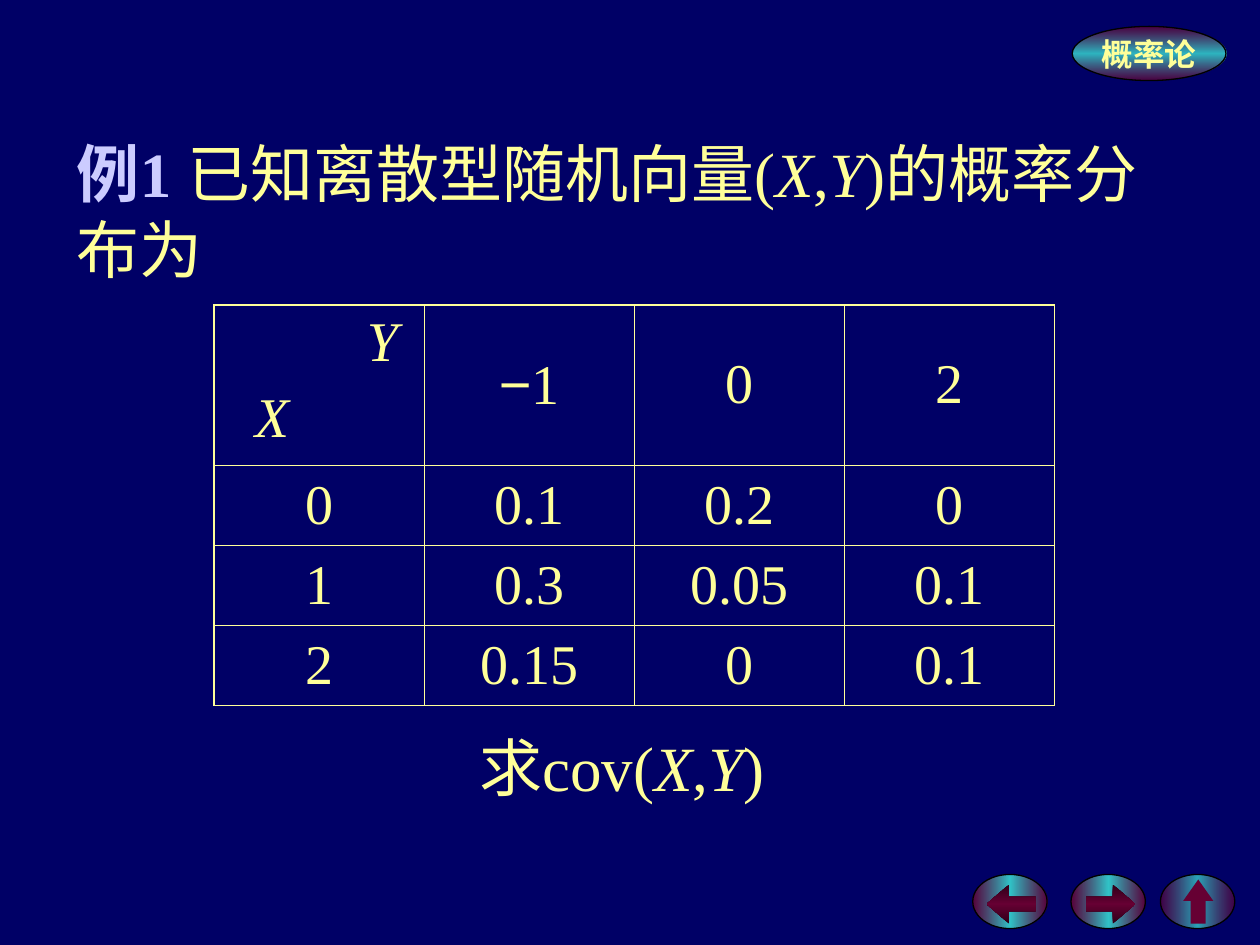
from itertools import groupby

from lxml import etree
from pptx import Presentation, util as u
from pptx.dml.color import RGBColor
from pptx.enum import shapes, text
from pptx.oxml import ns

WIDTH, HEIGHT = 10, 7.5
NAVY, YELLOW, LILAC = "000066", "FFFF99", "CCCCFF"
WINE, DARK_WINE, TEAL, BLACK = "660033", "2F0018", "33CCCC", "000000"
SERIF, SANS = "Times New Roman", "Arial"

DISTRIBUTION = [
    ["", "−1", "0", "2"],
    ["0", "0.1", "0.2", "0"],
    ["1", "0.3", "0.05", "0.1"],
    ["2", "0.15", "0", "0.1"],
]


def rgb(value):
    return RGBColor.from_string(value)


def inches(*lengths):
    return [u.Inches(length) for length in lengths]


def add_element(parent, tag, **attributes):
    element = etree.SubElement(parent, ns.qn(tag))
    for name, value in attributes.items():
        element.set(name, str(value))
    return element


def write_math(paragraph, content, size, color=YELLOW, bold=False):
    """Add runs, with the variables X and Y in italics and the minus in sans."""
    for (variable, minus), characters in groupby(
            content, lambda c: (c in "XY", c == "−")):
        run = paragraph.add_run()
        run.text = "".join(characters)
        font = run.font
        font.name = SANS if minus else SERIF
        font.size = u.Pt(size)
        font.bold, font.italic = bold, variable
        font.color.rgb = rgb(color)


def gradient_fill(shape, edge, middle, angle, edge_alpha=100, middle_alpha=100):
    gradient = add_element(shape._element.spPr, "a:gradFill", rotWithShape=1)
    stops = add_element(gradient, "a:gsLst")
    for position, color, alpha in ((0, edge, edge_alpha),
                                   (50, middle, middle_alpha),
                                   (100, edge, edge_alpha)):
        stop = add_element(stops, "a:gs", pos=position * 1000)
        tint = add_element(stop, "a:srgbClr", val=color)
        add_element(tint, "a:alpha", val=alpha * 1000)
    add_element(gradient, "a:lin", ang=angle * 60000, scaled=0)


def add_ellipse(slide, box, angle, edge_alpha, middle_alpha):
    ellipse = slide.shapes.add_shape(shapes.MSO_SHAPE.OVAL, *inches(*box))
    gradient_fill(ellipse, WINE, TEAL, angle, edge_alpha, middle_alpha)
    ellipse.line.color.rgb = rgb(BLACK)
    ellipse.line.width = u.Pt(0.75)
    ellipse.shadow.inherit = False
    return ellipse


def add_arrow(slide, preset, box, adjustments):
    arrow = slide.shapes.add_shape(preset, *inches(*box))
    for index, value in enumerate(adjustments):
        arrow.adjustments[index] = value
    if preset == shapes.MSO_SHAPE.UP_ARROW:
        arrow.fill.solid()
        arrow.fill.fore_color.rgb = rgb(WINE)
    else:
        gradient_fill(arrow, DARK_WINE, WINE, 90)
    arrow.line.fill.background()
    arrow.shadow.inherit = False


def add_course_badge(slide):
    badge = add_ellipse(slide, (8.51, 0.21, 1.22, 0.43), 90, 73, 89)
    frame = badge.text_frame
    frame.word_wrap = False
    frame.vertical_anchor = text.MSO_ANCHOR.MIDDLE
    frame.paragraphs[0].alignment = text.PP_ALIGN.CENTER
    write_math(frame.paragraphs[0], "概率论", 18, bold=True)


def add_navigation(slide):
    preset, sideways = shapes.MSO_SHAPE, (0.363, 0.574)
    for left, alphas, arrow, box, adjustments in (
            (7.72, (86, 96), preset.LEFT_ARROW, (7.83, 7.02, 0.39, 0.31), sideways),
            (8.5, (86, 96), preset.RIGHT_ARROW, (8.62, 7.02, 0.39, 0.31), sideways),
            (9.21, (62, 81), preset.UP_ARROW, (9.39, 6.98, 0.24, 0.35), (0.497, 0.71))):
        add_ellipse(slide, (left, 6.94, 0.59, 0.43), 0, *alphas)
        add_arrow(slide, arrow, box, adjustments)


def fill_title(slide):
    title = slide.shapes.title
    title.left, title.top, title.width, title.height = inches(0.51, 1.02, 9, 1.56)
    frame = title.text_frame
    frame.word_wrap = True
    frame.auto_size = text.MSO_AUTO_SIZE.NONE
    frame.vertical_anchor = text.MSO_ANCHOR.TOP
    paragraph = frame.paragraphs[0]
    paragraph.alignment = text.PP_ALIGN.LEFT
    write_math(paragraph, "例1 ", 36, LILAC, bold=True)
    write_math(paragraph, "已知离散型随机向量(X,Y)的概率分布为", 36)


def set_borders(cell, outer_sides):
    properties = cell._tc.get_or_add_tcPr()
    for side in "LRTB":
        width = u.Pt(1.08 if side in outer_sides else 0.45)
        line = add_element(properties, f"a:ln{side}", w=int(width))
        add_element(add_element(line, "a:solidFill"), "a:srgbClr", val=YELLOW)


def fill_corner(cell):
    """Put Y at the upper right and X at the lower left of the header cell."""
    frame = cell.text_frame
    for paragraph, name, indent in ((frame.paragraphs[0], "Y", 80),
                                    (frame.add_paragraph(), "X", 16)):
        paragraph._p.get_or_add_pPr().set("marL", str(u.Pt(indent)))
        write_math(paragraph, name, 32)
    paragraph.space_before = u.Pt(8)


def add_distribution_table(slide):
    count = len(DISTRIBUTION)
    width, height = 6.67, 3.18
    table = slide.shapes.add_table(
        count, count, *inches(1.7, 2.42, width, height)).table
    table.first_row = table.horz_banding = False
    for column in table.columns:
        column.width = u.Inches(width / count)
    for index, row in enumerate(table.rows):
        share = 2 if index == 0 else 1
        row.height = u.Inches(height * share / (count + 1))
    last = count - 1
    for i, values in enumerate(DISTRIBUTION):
        for j, value in enumerate(values):
            cell = table.cell(i, j)
            sides = {"T": i == 0, "B": i == last, "L": j == 0, "R": j == last}
            set_borders(cell, [side for side, outer in sides.items() if outer])
            cell.fill.background()
            if value:
                cell.vertical_anchor = text.MSO_ANCHOR.MIDDLE
                paragraph = cell.text_frame.paragraphs[0]
                paragraph.alignment = text.PP_ALIGN.CENTER
                write_math(paragraph, value, 32)
    fill_corner(table.cell(0, 0))


def add_question(slide):
    frame = slide.shapes.add_textbox(*inches(0.68, 5.73, 8.51, 0.7)).text_frame
    frame.word_wrap = True
    frame.paragraphs[0].alignment = text.PP_ALIGN.CENTER
    write_math(frame.paragraphs[0], "求cov(X,Y)", 36)


def main():
    presentation = Presentation()
    presentation.slide_width, presentation.slide_height = inches(WIDTH, HEIGHT)
    slide = presentation.slides.add_slide(presentation.slide_layouts[5])
    slide.background.fill.solid()
    slide.background.fill.fore_color.rgb = rgb(NAVY)
    add_course_badge(slide)
    add_navigation(slide)
    fill_title(slide)
    add_distribution_table(slide)
    add_question(slide)
    presentation.save("out.pptx")


if __name__ == "__main__":
    main()
